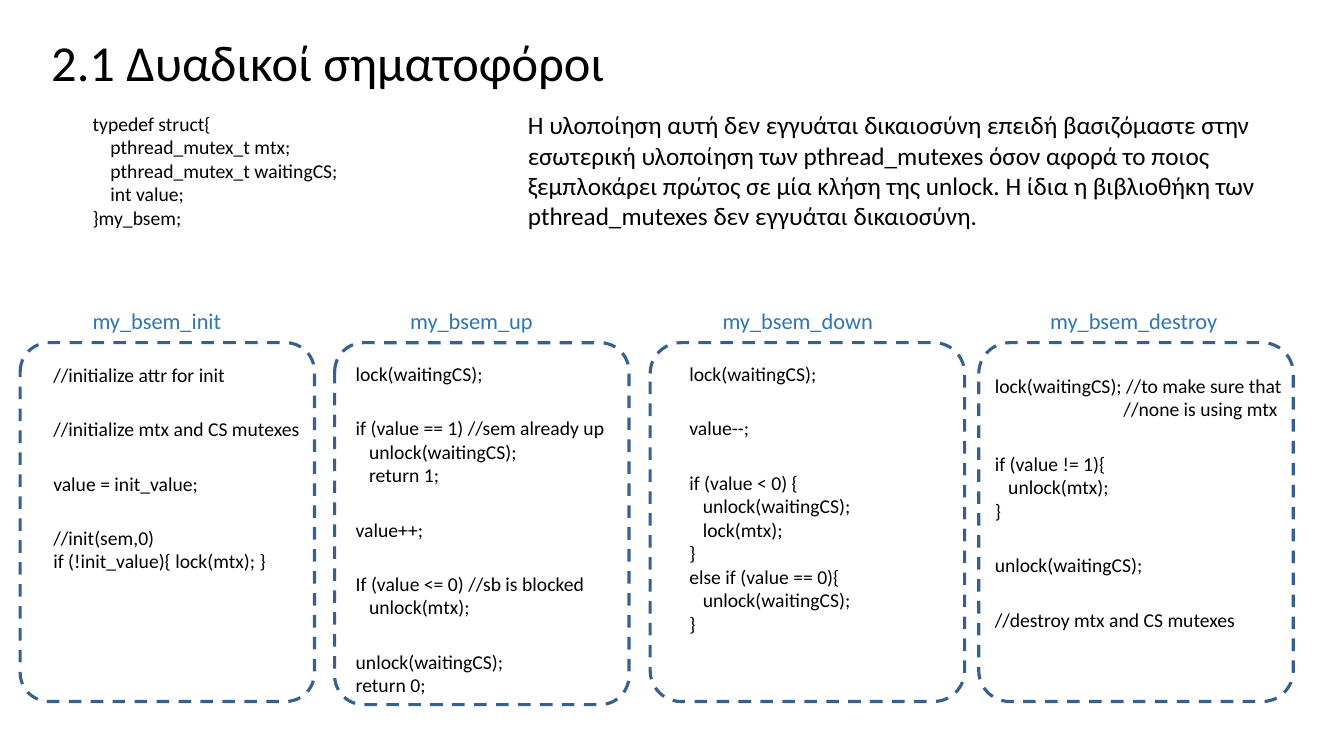
from dataclasses import dataclass

from pptx import Presentation
from pptx import slide as s
from pptx import util as u
from pptx.dml import color as c
from pptx.enum import dml, shapes, text

SLIDE_WIDTH, SLIDE_HEIGHT = u.Inches(13.33), u.Inches(7.5)
COLUMN, ROW = SLIDE_WIDTH / 40, SLIDE_HEIGHT / 30


@dataclass(frozen=True)
class Theme:
    font: str = "Calibri"
    ink: str = "000000"
    label: str = "2E75B6"
    border: str = "376092"
    border_width: float = 2.24
    corner: float = 0.098
    title_size: int = 36
    body_size: int = 18
    label_size: int = 16
    code_size: int = 14
    gap: int = 22


@dataclass(frozen=True)
class Area:
    left: float
    top: float
    width: float
    height: float

    def lengths(self) -> tuple[int, ...]:
        return (round(self.left * COLUMN), round(self.top * ROW),
                round(self.width * COLUMN), round(self.height * ROW))


@dataclass(frozen=True)
class Line:
    text: str
    indent: float = 0
    gap: bool = False


@dataclass(frozen=True)
class Card:
    name: str
    area: Area
    label_left: float
    code_left: float
    code_top: float
    code: tuple[Line, ...]


THEME = Theme()
STEP, FIELD, COMMENT = 0.4, 0.53, 3.83
CARD_TOP, LABEL_TOP = 13.6, 12
LABEL_WIDTH, LABEL_HEIGHT = 6, 1.44

STRUCT = (
    Line("typedef struct{"),
    Line("pthread_mutex_t mtx;", FIELD),
    Line("pthread_mutex_t waitingCS;", FIELD),
    Line("int value;", FIELD),
    Line("}my_bsem;"),
)

FAIRNESS = (
    "Η υλοποίηση αυτή δεν εγγυάται δικαιοσύνη επειδή βασιζόμαστε στην "
    "εσωτερική υλοποίηση των pthread_mutexes όσον αφορά το ποιος "
    "ξεμπλοκάρει πρώτος σε μία κλήση της unlock. Η ίδια η βιβλιοθήκη των "
    "pthread_mutexes δεν εγγυάται δικαιοσύνη."
)

CARDS = (
    Card("my_bsem_init", Area(0.6, CARD_TOP, 8.76, 14.24), 2.46, 1.29, 14.2, (
        Line("//initialize attr for init"),
        Line("//initialize mtx and CS mutexes", gap=True),
        Line("value = init_value;", gap=True),
        Line("//init(sem,0)", gap=True),
        Line("if (!init_value){ lock(mtx); }"),
    )),
    Card("my_bsem_up", Area(9.96, CARD_TOP, 8.76, 14.36), 11.91, 10.29, 14.16, (
        Line("lock(waitingCS);"),
        Line("if (value == 1) //sem already up", gap=True),
        Line("unlock(waitingCS);", STEP),
        Line("return 1;", STEP),
        Line("value++;", gap=True),
        Line("If (value <= 0) //sb is blocked", gap=True),
        Line("unlock(mtx);", STEP),
        Line("unlock(waitingCS);", gap=True),
        Line("return 0;"),
    )),
    Card("my_bsem_down", Area(19.35, CARD_TOP, 9.36, 14.24), 21.21, 20.22, 14.16, (
        Line("lock(waitingCS);"),
        Line("value--;", gap=True),
        Line("if (value < 0) {", gap=True),
        Line("unlock(waitingCS);", STEP),
        Line("lock(mtx);", STEP),
        Line("}"),
        Line("else if (value == 0){"),
        Line("unlock(waitingCS);", STEP),
        Line("}"),
    )),
    Card("my_bsem_destroy", Area(29.13, CARD_TOP, 9.36, 14.24), 30.96, 29.31, 14.64, (
        Line("lock(waitingCS); //to make sure that"),
        Line("//none is using mtx", COMMENT),
        Line("if (value != 1){", gap=True),
        Line("unlock(mtx);", STEP),
        Line("}"),
        Line("unlock(waitingCS);", gap=True),
        Line("//destroy mtx and CS mutexes", gap=True),
    )),
)


def add_text(slide: s.Slide, area: Area, lines: tuple[Line, ...], *, size: int,
             color: str = THEME.ink, spacing: float = 1.0,
             anchor: text.MSO_ANCHOR = text.MSO_ANCHOR.TOP) -> None:
    frame = slide.shapes.add_textbox(*area.lengths()).text_frame
    frame.word_wrap = True
    frame.vertical_anchor = anchor
    for index, line in enumerate(lines):
        paragraph = frame.add_paragraph() if index else frame.paragraphs[0]
        paragraph.line_spacing = spacing
        paragraph.space_before = u.Pt(THEME.gap if line.gap else 0)
        properties = paragraph._p.get_or_add_pPr()
        properties.set("marL", str(round(line.indent * COLUMN)))
        run = paragraph.add_run()
        run.text = line.text
        run.font.name = THEME.font
        run.font.size = u.Pt(size)
        run.font.color.rgb = c.RGBColor.from_string(color)


def add_border(slide: s.Slide, area: Area) -> None:
    shape = slide.shapes.add_shape(shapes.MSO_SHAPE.ROUNDED_RECTANGLE, *area.lengths())
    shape.adjustments[0] = THEME.corner
    shape.shadow.inherit = False
    shape.fill.background()
    shape.line.color.rgb = c.RGBColor.from_string(THEME.border)
    shape.line.width = u.Pt(THEME.border_width)
    shape.line.dash_style = dml.MSO_LINE.DASH


def add_card(slide: s.Slide, card: Card) -> None:
    add_border(slide, card.area)
    add_text(slide, Area(card.label_left, LABEL_TOP, LABEL_WIDTH, LABEL_HEIGHT),
             (Line(card.name),), size=THEME.label_size, color=THEME.label)
    bottom = card.area.top + card.area.height
    add_text(slide, Area(card.code_left, card.code_top, card.area.width, bottom - card.code_top),
             card.code, size=THEME.code_size)


def main() -> None:
    presentation = Presentation()
    presentation.slide_width, presentation.slide_height = SLIDE_WIDTH, SLIDE_HEIGHT
    slide = presentation.slides.add_slide(presentation.slide_layouts[6])
    add_text(slide, Area(1.23, 1, 34.5, 3.16), (Line("2.1 Δυαδικοί σηματοφόροι"),),
             size=THEME.title_size, spacing=0.9, anchor=text.MSO_ANCHOR.MIDDLE)
    add_text(slide, Area(2.46, 4.24, 12.5, 5.04), STRUCT, size=THEME.code_size)
    add_text(slide, Area(15.42, 4.16, 22.47, 5.2), (Line(FAIRNESS),), size=THEME.body_size)
    for card in CARDS:
        add_card(slide, card)
    presentation.save("out.pptx")


main()
